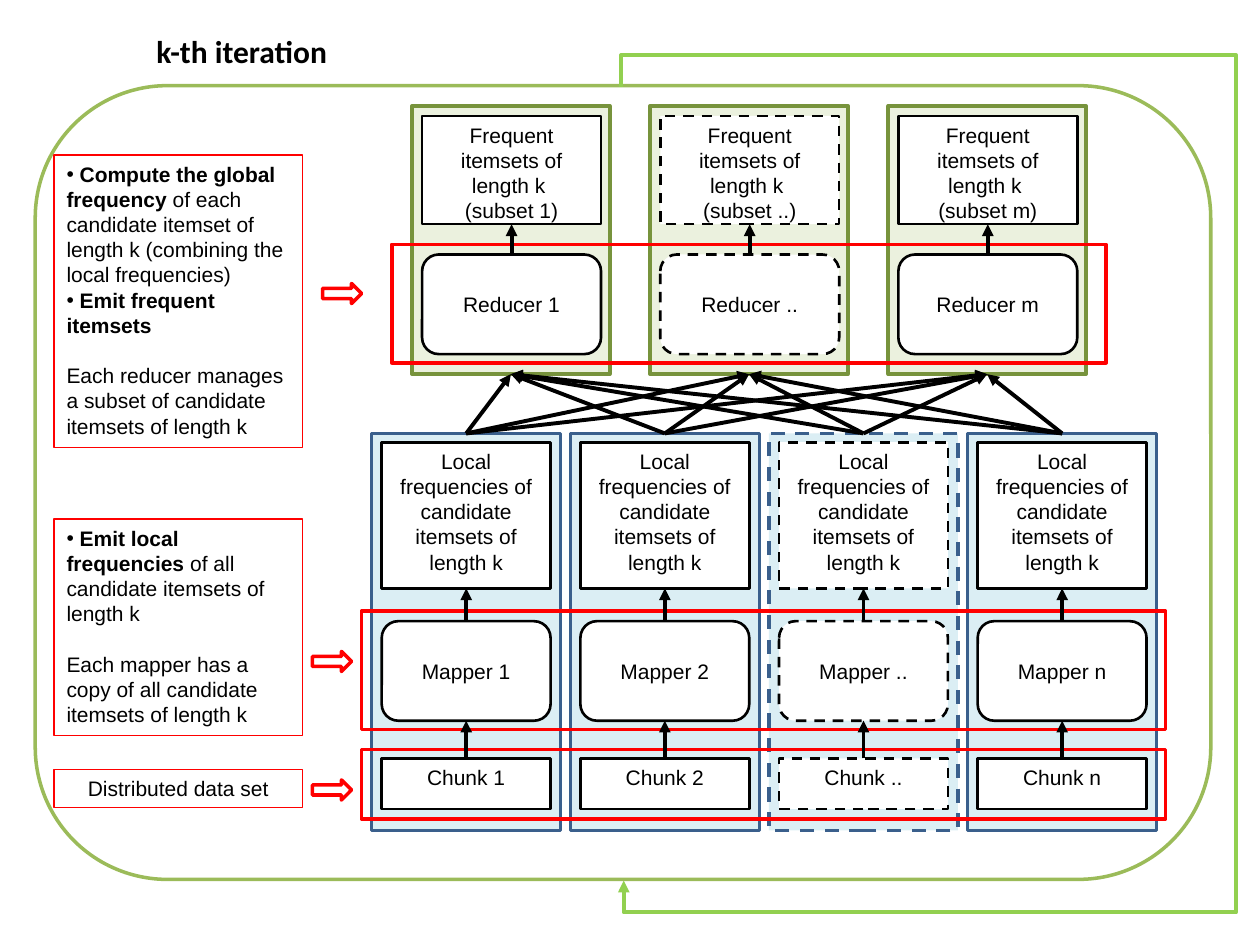
"""Build a slide showing the k-th iteration of a MapReduce frequent itemset search."""
from dataclasses import dataclass
from typing import Any, Optional

from lxml.etree import SubElement
from pptx import Presentation
from pptx.dml.color import RGBColor
from pptx.enum.dml import MSO_LINE
from pptx.enum.shapes import MSO_CONNECTOR, MSO_SHAPE
from pptx.enum.text import MSO_ANCHOR, MSO_AUTO_SIZE, PP_ALIGN
from pptx.oxml.ns import qn
from pptx.util import Inches, Pt

COLORS = {
    "white": "FFFFFF", "black": "000000", "red": "FF0000",
    "iteration": "9BBB59", "loop": "92D050",
    "reducer_fill": "EBF1DE", "reducer_line": "77933C",
    "mapper_fill": "DBEEF4", "mapper_line": "3A5F8C",
}
TOP, BOTTOM = 0, 2


@dataclass(frozen=True)
class Box:
    left: float
    top: float
    width: float
    height: float
    fill: Optional[str] = "white"
    line: str = "black"
    weight: float = 1.5
    kind: MSO_SHAPE = MSO_SHAPE.RECTANGLE
    dashed: bool = False


@dataclass(frozen=True)
class Passage:
    runs: tuple[tuple[str, bool], ...]
    bullet: bool = False
    gap: float = 0


@dataclass(frozen=True)
class Note:
    top: float
    height: float
    passages: tuple[Passage, ...]
    align: PP_ALIGN = PP_ALIGN.LEFT


def rgb(name: str) -> RGBColor:
    return RGBColor.from_string(COLORS[name])


def write(paragraph: Any, text: str, *, size: float = 12, font: str = "Arial",
          bold: bool = False, align: PP_ALIGN = PP_ALIGN.CENTER) -> None:
    paragraph.alignment = align
    run = paragraph.add_run()
    run.text = text
    run.font.size, run.font.name, run.font.bold = Pt(size), font, bold
    run.font.color.rgb = rgb("black")


def draw(box: Box, *lines: str, anchor: MSO_ANCHOR = MSO_ANCHOR.TOP) -> Any:
    shape = slide.shapes.add_shape(
        box.kind, *map(Inches, (box.left, box.top, box.width, box.height)))
    shape.shadow.inherit = False
    if box.fill:
        shape.fill.solid()
        shape.fill.fore_color.rgb = rgb(box.fill)
    else:
        shape.fill.background()
    shape.line.color.rgb = rgb(box.line)
    shape.line.width = Pt(box.weight)
    if box.dashed:
        shape.line.dash_style = MSO_LINE.DASH
    frame = shape.text_frame
    frame.word_wrap, frame.vertical_anchor = True, anchor
    for index, text in enumerate(lines):
        write(frame.add_paragraph() if index else frame.paragraphs[0], text)
    return shape


def draw_note(note: Note) -> None:
    frame = draw(Box(0.43, note.top, 1.97, note.height, None, "red", 0.75)).text_frame
    for index, passage in enumerate(note.passages):
        paragraph = frame.add_paragraph() if index else frame.paragraphs[0]
        paragraph.space_before = Pt(passage.gap)
        if passage.bullet:
            properties = paragraph._p.get_or_add_pPr()
            SubElement(properties, qn("a:buFont"), typeface="Arial")
            SubElement(properties, qn("a:buChar"), char="•")
        for text, bold in passage.runs:
            write(paragraph, text, bold=bold, align=note.align)
    frame.auto_size = MSO_AUTO_SIZE.SHAPE_TO_FIT_TEXT


def style_arrow(connector: Any, color: str) -> None:
    connector.line.color.rgb = rgb(color)
    connector.line.width = Pt(2.25)
    SubElement(connector.line._get_or_add_ln(), qn("a:tailEnd"), type="triangle")
    SubElement(connector._element.spPr, qn("a:effectLst"))


def link(source: Any, target: Any) -> None:
    arrow = slide.shapes.add_connector(MSO_CONNECTOR.STRAIGHT, 0, 0, 0, 0)
    arrow.begin_connect(source, TOP)
    arrow.end_connect(target, BOTTOM)
    style_arrow(arrow, "black")


def draw_loop() -> None:
    loop = slide.shapes.add_connector(
        MSO_CONNECTOR.ELBOW, *map(Inches, (8.09, 3.83, 1.79, 3.85)))
    properties = loop._element.spPr
    properties.find(qn("a:xfrm")).set("rot", str(270 * 60000))
    geometry = properties.find(qn("a:prstGeom"))
    geometry.set("prst", "bentConnector5")
    bends = geometry.find(qn("a:avLst"))
    if bends is None:
        bends = SubElement(geometry, qn("a:avLst"))
    for index, ratio in enumerate((-0.04, 243, 1.04), 1):
        SubElement(bends, qn("a:gd"), name=f"adj{index}", fmla=f"val {round(ratio * 100000)}")
    style_arrow(loop, "loop")


deck = Presentation()
deck.slide_width, deck.slide_height = Inches(10), Inches(7.5)
slide = deck.slides.add_slide(deck.slide_layouts[5])

heading = slide.shapes.title
heading.left, heading.top, heading.width, heading.height = map(Inches, (1.14, 0.2, 1.7, 0.4))
heading.text_frame.margin_right = 0
heading.text_frame.word_wrap = False
heading.text_frame.auto_size = MSO_AUTO_SIZE.NONE
heading.text_frame.vertical_anchor = MSO_ANCHOR.TOP
write(heading.text_frame.paragraphs[0], "k-th iteration",
      size=18, font="Calibri", bold=True, align=PP_ALIGN.LEFT)

ROUNDED = MSO_SHAPE.ROUNDED_RECTANGLE
draw(Box(0.28, 0.68, 9.33, 6.3, "white", "iteration", 2, ROUNDED))

reducer_columns, mapper_columns, steps = [], [], []
for index, label in enumerate(("1", "..", "m")):
    left, dashed = 3.27 + 1.89 * index, label == ".."
    reducer_columns.append(draw(Box(left, 0.84, 1.57, 2.13, "reducer_fill", "reducer_line", 2)))
    reducer = draw(Box(left + 0.08, 2.02, 1.42, 0.79, kind=ROUNDED, dashed=dashed),
                   f"Reducer {label}", anchor=MSO_ANCHOR.MIDDLE)
    subset = draw(Box(left + 0.08, 0.92, 1.42, 0.86, dashed=dashed),
                  "Frequent itemsets of length k ", f"(subset {label})")
    steps.append((reducer, subset))

for index, label in enumerate(("1", "2", "..", "n")):
    left, dashed = 2.95 + 4.73 / 3 * index, label == ".."
    mapper_columns.append(draw(
        Box(left, 3.44, 1.5, 3.15, "mapper_fill", "mapper_line", 2, dashed=dashed)))
    chunk = draw(Box(left + 0.08, 6.02, 1.34, 0.4, dashed=dashed), f"Chunk {label}")
    mapper = draw(Box(left + 0.08, 4.93, 1.34, 0.79, kind=ROUNDED, dashed=dashed),
                  f"Mapper {label}", anchor=MSO_ANCHOR.MIDDLE)
    frequencies = draw(Box(left + 0.08, 3.51, 1.34, 1.16, dashed=dashed),
                       "Local frequencies of candidate itemsets of length k")
    steps += [(chunk, mapper), (mapper, frequencies)]

for left, top, width, height in ((3.11, 1.94, 5.67, 0.94), (2.87, 4.85, 6.38, 0.94),
                                 (2.87, 5.95, 6.38, 0.55)):
    draw(Box(left, top, width, height, None, "red", 2))

shuffles = [(mapper, reducer) for mapper in mapper_columns for reducer in reducer_columns]
for source, target in steps + shuffles:
    link(source, target)

for left, top in ((2.56, 2.25), (2.48, 5.17), (2.48, 6.19)):
    draw(Box(left, top, 0.31, 0.16, "white", "red", 2, MSO_SHAPE.RIGHT_ARROW))

NOTES = (
    Note(1.23, 2.32, (
        Passage(((" ", False), ("Compute the global frequency", True),
                 (" of each candidate itemset of length k (combining the local frequencies)",
                  False)), bullet=True),
        Passage(((" ", False), ("Emit frequent itemsets", True)), bullet=True),
        Passage((("Each reducer manages a subset of candidate itemsets of length k", False),),
                gap=14.4))),
    Note(4.12, 1.72, (
        Passage(((" Emit local frequencies", True),
                 (" of all candidate itemsets of length k", False)), bullet=True),
        Passage((("Each mapper has a copy of all candidate itemsets of length k", False),),
                gap=14.4))),
    Note(6.11, 0.3, (Passage((("Distributed data set", False),)),), PP_ALIGN.CENTER),
)
for note in NOTES:
    draw_note(note)
draw_loop()

deck.save("out.pptx")
